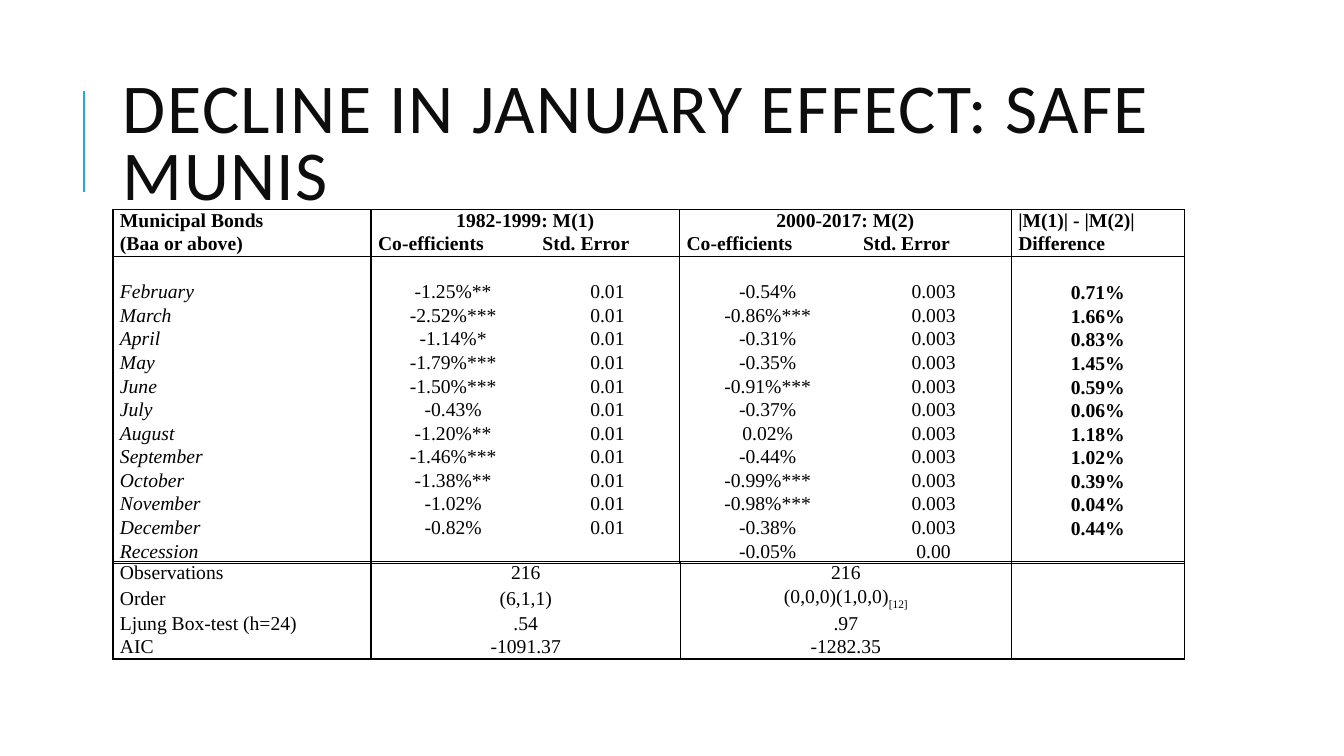
from lxml import etree
from pptx import Presentation
from pptx.dml.color import RGBColor
from pptx.enum.shapes import MSO_CONNECTOR
from pptx.enum.text import MSO_ANCHOR, PP_ALIGN
from pptx.oxml.ns import qn
from pptx.util import Inches, Pt

BLACK = RGBColor(0x00, 0x00, 0x00)
TITLE_COLOR = RGBColor(0x0D, 0x0D, 0x0D)
ACCENT = RGBColor(0x1C, 0xAD, 0xE4)
CENTER, JUSTIFY = PP_ALIGN.CENTER, PP_ALIGN.JUSTIFY
TOP, MIDDLE, BOTTOM = MSO_ANCHOR.TOP, MSO_ANCHOR.MIDDLE, MSO_ANCHOR.BOTTOM
STRAIGHT = MSO_CONNECTOR.STRAIGHT
NO_TABLE_STYLE = "{2D5ABB26-0587-4C30-8999-92F81FD0307C}"

LEFT, WIDTH = 1.12, 10.63
ROW_HEIGHT = 0.23
MONTH_COLUMNS = [2.56, 1.63, 1.43, 1.75, 1.54, 1.72]
SUMMARY_COLUMNS = [2.56, 3.07, 3.28, 1.72]

MONTH_ROWS = [
    ["Municipal Bonds", "1982-1999: M(1)", "", "2000-2017: M(2)", "", "|M(1)| - |M(2)|"],
    ["(Baa or above)", "Co-efficients", "Std. Error", "Co-efficients", "Std. Error", "Difference"],
    ["", "", "", "", "", ""],
    ["February", "-1.25%**", "0.01", "-0.54%", "0.003", "0.71%"],
    ["March", "-2.52%***", "0.01", "-0.86%***", "0.003", "1.66%"],
    ["April", "-1.14%*", "0.01", "-0.31%", "0.003", "0.83%"],
    ["May", "-1.79%***", "0.01", "-0.35%", "0.003", "1.45%"],
    ["June", "-1.50%***", "0.01", "-0.91%***", "0.003", "0.59%"],
    ["July", "-0.43%", "0.01", "-0.37%", "0.003", "0.06%"],
    ["August", "-1.20%**", "0.01", "0.02%", "0.003", "1.18%"],
    ["September", "-1.46%***", "0.01", "-0.44%", "0.003", "1.02%"],
    ["October", "-1.38%**", "0.01", "-0.99%***", "0.003", "0.39%"],
    ["November", "-1.02%", "0.01", "-0.98%***", "0.003", "0.04%"],
    ["December", "-0.82%", "0.01", "-0.38%", "0.003", "0.44%"],
    ["Recession", "", "", "-0.05%", "0.00", ""],
]
SUMMARY_ROWS = [
    ["Observations", "216", "216", ""],
    ["Order", "(6,1,1)", "(0,0,0)(1,0,0)", ""],
    ["Ljung Box-test (h=24)", ".54", ".97", ""],
    ["AIC", "-1091.37", "-1282.35", ""],
]


def add_grid(top, columns, row_count):
    """Add an unstyled table with the shared row height and return it."""
    frame = slide.shapes.add_table(
        row_count, len(columns), Inches(LEFT), Inches(top),
        Inches(WIDTH), Inches(ROW_HEIGHT * row_count))
    table = frame.table
    table.first_row = table.horz_banding = False
    table._tbl.tblPr.find(qn("a:tableStyleId")).text = NO_TABLE_STYLE
    for column, width in zip(table.columns, columns):
        column.width = Inches(width)
    for row in table.rows:
        row.height = Inches(ROW_HEIGHT)
    return table


def write_cell(cell, text, sides, alignment, anchor=MIDDLE, bold=False, italic=False):
    """Write one cell; the sides named by L, R, T, B get a black border, the rest none."""
    cell.margin_left = cell.margin_right = Inches(0.07)
    cell.margin_top = cell.margin_bottom = 0
    cell.vertical_anchor = anchor
    paragraph = cell.text_frame.paragraphs[0]
    paragraph.alignment = alignment
    paragraph.line_spacing = 1.0
    if text:
        run = paragraph.add_run()
        run.text = text
        run.font.size = Pt(14)
        run.font.name = "Times New Roman"
        run.font.color.rgb = BLACK
        run.font.bold, run.font.italic = bold, italic
    else:
        etree.SubElement(paragraph._p, qn("a:endParaRPr"), sz="1400")
    properties = cell._tc.get_or_add_tcPr()
    for side in "LRTB":
        line = etree.SubElement(properties, qn("a:ln" + side), w=str(Pt(1)))
        if side in sides:
            fill = etree.SubElement(line, qn("a:solidFill"))
            etree.SubElement(fill, qn("a:srgbClr"), val=str(BLACK))
        else:
            etree.SubElement(line, qn("a:noFill"))
    cell.fill.background()


presentation = Presentation()
presentation.slide_width = Inches(13.33)
presentation.slide_height = Inches(7.5)
slide = presentation.slides.add_slide(presentation.slide_layouts[6])

accent_line = slide.shapes.add_connector(
    STRAIGHT, Inches(0.83), Inches(1.9), Inches(0.83), Inches(0.9))
accent_line.line.color.rgb = ACCENT
accent_line.line.width = Pt(1.5)
etree.SubElement(accent_line._element.spPr, qn("a:effectLst"))

title = slide.shapes.add_textbox(Inches(LEFT), Inches(0.64), Inches(WIDTH), Inches(1.64))
title.text_frame.word_wrap = True
title.text_frame.vertical_anchor = MIDDLE
title_paragraph = title.text_frame.paragraphs[0]
title_paragraph.line_spacing = 0.8
title_run = title_paragraph.add_run()
title_run.text = "DECLINE IN JANUARY EFFECT: SAFE MUNIS"
title_run.font.size = Pt(50)
title_run.font.name = "Calibri"
title_run.font.color.rgb = TITLE_COLOR
title_run._r.get_or_add_rPr().set("spc", "100")

month_table = add_grid(2.08, MONTH_COLUMNS, len(MONTH_ROWS))
for first in (1, 3):
    month_table.cell(0, first).merge(month_table.cell(0, first + 1))
last_row = len(MONTH_ROWS) - 1
for row, texts in enumerate(MONTH_ROWS):
    for column, text in enumerate(texts):
        cell = month_table.cell(row, column)
        header = row < 2
        label, difference = column == 0, column == 5
        sides = "L" if column in (0, 1, 3, 5) else ""
        if column in (0, 2, 4, 5) or cell.is_merge_origin:
            sides += "R"
        if row in (0, 2):
            sides += "T"
        if row in (1, last_row):
            sides += "B"
        left_aligned = label or row == 1 or (header and difference)
        anchor = TOP if header else BOTTOM if difference else MIDDLE
        write_cell(cell, text, sides, JUSTIFY if left_aligned else CENTER, anchor,
                   bold=header or difference, italic=label and not header)

summary_table = add_grid(5.57, SUMMARY_COLUMNS, len(SUMMARY_ROWS))
for row, texts in enumerate(SUMMARY_ROWS):
    sides = "LR" + {0: "T", len(SUMMARY_ROWS) - 1: "B"}.get(row, "")
    for column, text in enumerate(texts):
        write_cell(summary_table.cell(row, column), text, sides,
                   CENTER if column else JUSTIFY)

season_run = summary_table.cell(1, 2).text_frame.paragraphs[0].add_run()
season_run.text = "[12]"
season_run.font.size = Pt(14)
season_run.font.name = "Times New Roman"
season_run.font.color.rgb = BLACK
season_run._r.get_or_add_rPr().set("baseline", "-25000")

presentation.save("out.pptx")
